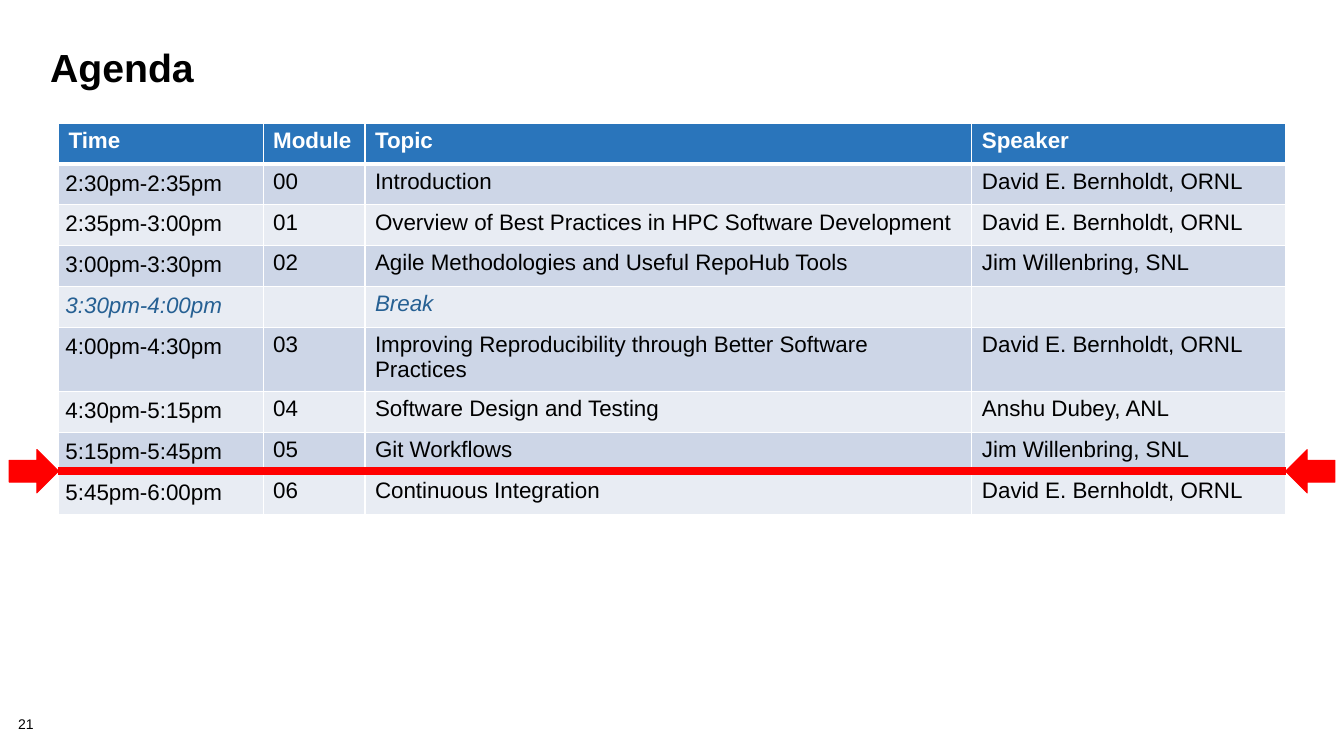
from lxml import etree
from pptx import Presentation
from pptx.dml.color import RGBColor
from pptx.enum.shapes import MSO_CONNECTOR, MSO_SHAPE
from pptx.oxml.ns import qn
from pptx.util import Inches, Pt

STRAIGHT = MSO_CONNECTOR.STRAIGHT
RIGHT = MSO_SHAPE.RIGHT_ARROW

BLACK = RGBColor(0x00, 0x00, 0x00)
WHITE = RGBColor(0xFF, 0xFF, 0xFF)
BLUE = RGBColor(0x2A, 0x75, 0xBB)
DARK = RGBColor(0xCD, 0xD6, 0xE7)
LIGHT = RGBColor(0xE8, 0xEC, 0xF3)
NAVY = RGBColor(0x26, 0x60, 0x93)
RED = RGBColor(0xFF, 0x00, 0x00)

BASE = {"name": "Arial", "size": Pt(16), "bold": False, "italic": False}
HEAD = BASE | {"bold": True, "color": WHITE}
BODY = BASE | {"color": BLACK}
PAUSE = BASE | {"italic": True, "color": NAVY}
TITLE = BASE | {"size": Pt(28), "bold": True, "color": BLACK}
NUMBER = BASE | {"size": Pt(10), "color": BLACK}

WIDTHS = [2.03, 1.01, 6.02, 3.11]
ROWS = [
    ("Time", "Module", "Topic", "Speaker"),
    ("2:30pm-2:35pm", "00", "Introduction", "David E. Bernholdt, ORNL"),
    ("2:35pm-3:00pm", "01",
     "Overview of Best Practices in HPC Software Development",
     "David E. Bernholdt, ORNL"),
    ("3:00pm-3:30pm", "02", "Agile Methodologies and Useful RepoHub Tools",
     "Jim Willenbring, SNL"),
    ("3:30pm-4:00pm", "", "Break", ""),
    ("4:00pm-4:30pm", "03",
     "Improving Reproducibility through Better Software Practices",
     "David E. Bernholdt, ORNL"),
    ("4:30pm-5:15pm", "04", "Software Design and Testing",
     "Anshu Dubey, ANL"),
    ("5:15pm-5:45pm", "05", "Git Workflows", "Jim Willenbring, SNL"),
    ("5:45pm-6:00pm", "06", "Continuous Integration",
     "David E. Bernholdt, ORNL"),
]


def write(para, text, style):
    run = para.add_run()
    run.text = text
    for key, value in style.items():
        if key == "color":
            run.font.color.rgb = value
        else:
            setattr(run.font, key, value)


def add_text(slide, box, text, style, spacing, inset=None):
    frame = slide.shapes.add_textbox(*map(Inches, box)).text_frame
    frame.word_wrap = True
    if inset is not None:
        for side in ("left", "top", "right", "bottom"):
            setattr(frame, f"margin_{side}", Inches(inset))
    para = frame.paragraphs[0]
    para.line_spacing = spacing
    write(para, text, style)


def set_edges(cell, header):
    """Give a cell white borders, heavier below the header."""
    props = cell._tc.get_or_add_tcPr()
    for index, side in enumerate(("lnL", "lnR", "lnT", "lnB")):
        width = Pt(3) if header and side == "lnB" else Pt(1)
        line = etree.Element(qn(f"a:{side}"), w=str(width))
        fill = etree.SubElement(line, qn("a:solidFill"))
        etree.SubElement(fill, qn("a:srgbClr"), val=str(WHITE))
        props.insert(index, line)


def add_agenda(slide, box):
    table = slide.shapes.add_table(
        len(ROWS), len(WIDTHS), *map(Inches, box)).table
    for column, width in zip(table.columns, WIDTHS):
        column.width = Inches(width)
    for r, row in enumerate(ROWS):
        header = r == 0
        style = HEAD if header else PAUSE if "Break" in row else BODY
        shade = BLUE if header else DARK if r % 2 else LIGHT
        for c, text in enumerate(row):
            cell = table.cell(r, c)
            cell.fill.solid()
            cell.fill.fore_color.rgb = shade
            set_edges(cell, header)
            if c == 0 and not header:
                for side in ("left", "top", "right", "bottom"):
                    setattr(cell, f"margin_{side}", Inches(0.07))
            if text:
                write(cell.text_frame.paragraphs[0], text, style)


def add_marker(slide, box):
    """Draw a red line across the box with an arrow at each end."""
    left, top, width, height = box
    arrow = 0.49
    right = left + width - arrow
    middle = top + height / 2
    group = slide.shapes.add_group_shape().shapes
    line = group.add_connector(STRAIGHT, *map(
        Inches, (left + arrow, middle, right, middle)))
    line.line.color.rgb = RED
    line.line.width = Pt(6)
    etree.SubElement(line._element.spPr, qn("a:effectLst"))
    for x, turn in ((left, 0), (right, 180)):
        shape = group.add_shape(RIGHT, *map(Inches, (x, top, arrow, height)))
        shape.rotation = turn
        shape.shadow.inherit = False
        shape.fill.solid()
        shape.fill.fore_color.rgb = RED
        shape.line.color.rgb = RED
        shape.line.width = Pt(0.75)


def main():
    deck = Presentation()
    deck.slide_width = Inches(13.33)
    deck.slide_height = Inches(7.5)
    slide = deck.slides.add_slide(deck.slide_layouts[6])
    add_text(slide, (0.18, 7.12, 0.56, 0.16), "21", NUMBER, 0.9, 0)
    add_text(slide, (0.4, 0.45, 12.44, 1), "Agenda", TITLE, 0.85)
    add_agenda(slide, (0.58, 1.22, sum(WIDTHS), 3.65))
    add_marker(slide, (0.09, 4.46, 13.15, 0.43))
    deck.save("out.pptx")


if __name__ == "__main__":
    main()
